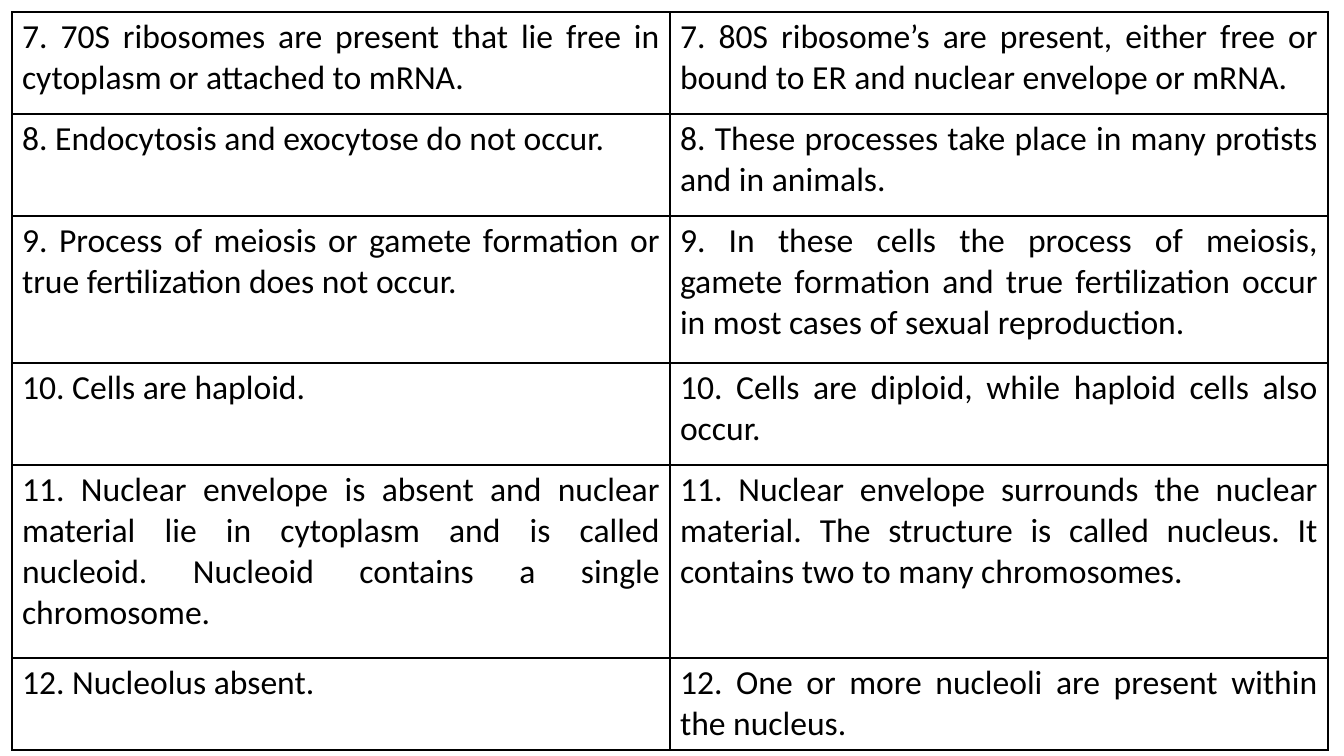
from lxml import etree
from pptx import Presentation
from pptx import util as u
from pptx.dml import color
from pptx.enum import text
from pptx.oxml import ns

COLORS = {"ink": "000000"}
FONT = "Calibri"
SIZE = 24
SCALE = 914400 / 100.8
PAGE_W, PAGE_H = 1344, 756
LEFT, TOP, COLUMN_W = 12, 12, 658

COMPARISON = [
    (102,
     "7. 70S ribosomes are present that lie free in cytoplasm or attached to mRNA.",
     "7. 80S ribosome’s are present, either free or bound to ER and nuclear envelope or mRNA."),
    (102,
     "8. Endocytosis and exocytose do not occur.",
     "8. These processes take place in many protists and in animals."),
    (147,
     "9. Process of meiosis or gamete formation or true fertilization does not occur.",
     "9. In these cells the process of meiosis, gamete formation and true fertilization "
     "occur in most cases of sexual reproduction."),
    (102,
     "10. Cells are haploid.",
     "10. Cells are diploid, while haploid cells also occur."),
    (193,
     "11. Nuclear envelope is absent and nuclear material lie in cytoplasm and is called "
     "nucleoid. Nucleoid contains a single chromosome.",
     "11. Nuclear envelope surrounds the nuclear material. The structure is called nucleus. "
     "It contains two to many chromosomes."),
    (92,
     "12. Nucleolus absent.",
     "12. One or more nucleoli are present within the nucleus."),
]


def px(length):
    return u.Emu(round(length * SCALE))


def add_borders(cell):
    properties = cell._tc.get_or_add_tcPr()
    for position, side in enumerate(("a:lnL", "a:lnR", "a:lnT", "a:lnB")):
        line = etree.Element(ns.qn(side), w=str(u.Pt(1)))
        fill = etree.SubElement(line, ns.qn("a:solidFill"))
        etree.SubElement(fill, ns.qn("a:srgbClr"), val=COLORS["ink"])
        properties.insert(position, line)


def fill_cell(cell, words):
    cell.fill.background()
    add_borders(cell)
    para = cell.text_frame.paragraphs[0]
    para.alignment = text.PP_ALIGN.JUSTIFY
    span = para.add_run()
    span.text = words
    span.font.name = FONT
    span.font.size = u.Pt(SIZE)
    span.font.bold = False
    span.font.color.rgb = color.RGBColor.from_string(COLORS["ink"])


def main():
    deck = Presentation()
    deck.slide_width, deck.slide_height = px(PAGE_W), px(PAGE_H)
    page = deck.slides.add_slide(deck.slide_layouts[6])
    height = sum(row[0] for row in COMPARISON)
    table = page.shapes.add_table(
        len(COMPARISON), 2, px(LEFT), px(TOP), px(2 * COLUMN_W), px(height)).table
    table.first_row = False
    table.horz_banding = False
    for column in table.columns:
        column.width = px(COLUMN_W)
    for row, (row_height, *entries) in zip(table.rows, COMPARISON):
        row.height = px(row_height)
        for cell, words in zip(row.cells, entries):
            fill_cell(cell, words)
    deck.save("out.pptx")


if __name__ == "__main__":
    main()
